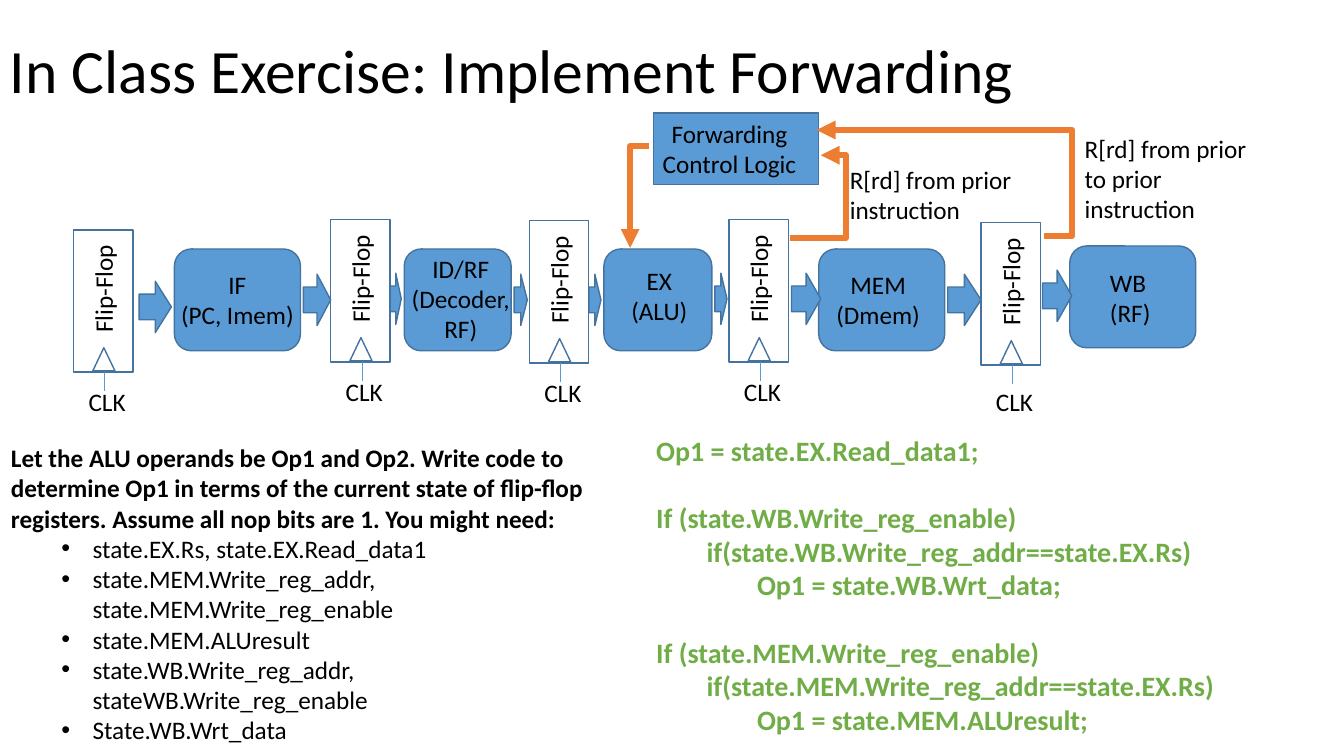
"""Builds the slide of the forwarding exercise on a five-stage pipeline."""
import pptx
import pptx.util
import pptx.dml.color
import pptx.enum.shapes
import pptx.enum.text
import pptx.oxml
import pptx.oxml.ns
from pptx.util import Inches

COLORS = {"blue": "5B9BD5", "edge": "43739E", "orange": "ED7D31", "green": "70AD47", "black": "000000"}
SHAPES = pptx.enum.shapes.MSO_SHAPE
CENTER = pptx.enum.text.PP_ALIGN.CENTER
LEFT = pptx.enum.text.PP_ALIGN.LEFT
MIDDLE = pptx.enum.text.MSO_ANCHOR.MIDDLE

TITLE = "In Class Exercise: Implement Forwarding"
STAGES = [(1.73, 2.47, 1.25), (4.01, 2.47, 1.06), (5.99, 2.47, 1.07), (8.12, 2.47, 1.25), (10.61, 2.44, 1.25)]
STAGE_HEIGHT = 1.01
STAGE_LABELS = [
    (["IF", "(PC, Imem)"], (1.69, 2.62, 1.33, 0.71), CENTER, False),
    (["ID/RF", "(Decoder, RF)"], (3.96, 2.46, 1.22, 1.01), CENTER, True),
    (["EX", "(ALU)"], (6.16, 2.58, 0.76, 0.71), CENTER, False),
    (["MEM", "(Dmem)"], (8.19, 2.62, 1.04, 0.71), CENTER, False),
    (["WB", "(RF)"], (10.91, 2.6, 0.61, 0.71), LEFT, False),
]
FLIP_FLOPS = [(0.73, 2.28, 3.78), (3.28, 2.18, 3.68), (5.25, 2.19, 3.69), (7.23, 2.18, 3.68), (9.73, 2.21, 3.78)]
ARROWS = [
    (1.38, 2.79, 0.32), (3.01, 2.72, 0.27), (3.87, 2.71, 0.11), (5.1, 2.72, 0.13), (5.84, 2.72, 0.12),
    (7.09, 2.71, 0.12), (7.85, 2.71, 0.29), (9.4, 2.72, 0.33), (10.34, 2.68, 0.29),
]
ARROW_HEIGHT = 0.51
CONTROL_BOX = (6.48, 1.12, 1.64, 0.71)
CONTROL_LABEL = (["Forwarding Control Logic"], (6.41, 1.12, 1.65, 0.71), CENTER, True)
PATHS = [
    ((7.84, 2.36), (8.14, 1.54), "bentConnector3", 183000),
    ((10.35, 2.34), (8.1, 1.29), "bentConnector3", -12700),
    ((6.44, 1.45), (6.25, 2.46), "bentConnector2", None),
]
PATH_LABELS = [
    (["R[rd] from prior instruction"], (8.33, 1.58, 1.9, 0.71), LEFT, True),
    (["R[rd] from prior to prior instruction"], (10.66, 1.27, 1.9, 1.01), LEFT, True),
]
TASK = (
    "Let the ALU operands be Op1 and Op2. Write code to determine Op1 in terms of the current state "
    "of flip-flop registers. Assume all nop bits are 1. You might need:"
)
HINTS = [
    "state.EX.Rs, state.EX.Read_data1",
    "state.MEM.Write_reg_addr, state.MEM.Write_reg_enable",
    "state.MEM.ALUresult",
    "state.WB.Write_reg_addr, stateWB.Write_reg_enable",
    "State.WB.Wrt_data",
]
CODE = [
    "Op1 = state.EX.Read_data1;",
    "If (state.WB.Write_reg_enable)",
    "\tif(state.WB.Write_reg_addr==state.EX.Rs)",
    "\t\tOp1 = state.WB.Wrt_data;",
    "If (state.MEM.Write_reg_enable)",
    "\tif(state.MEM.Write_reg_addr==state.EX.Rs)",
    "\t\tOp1 = state.MEM.ALUresult;",
]


def rgb(name):
    return pptx.dml.color.RGBColor.from_string(COLORS[name])


def add_block(page, kind, place, fill=None):
    block = page.shapes.add_shape(kind, *map(Inches, place))
    block.shadow.inherit = False
    if fill:
        block.fill.solid()
        block.fill.fore_color.rgb = rgb(fill)
    else:
        block.fill.background()
    block.line.color.rgb = rgb("edge")
    block.line.width = pptx.util.Pt(1)
    return block


def add_text(page, lines, place, align=LEFT, wrap=True, size=18, color="black", bold=False):
    box = page.shapes.add_textbox(*map(Inches, place))
    box.text_frame.word_wrap = wrap
    box.text_frame.text = "\n".join(lines)
    for para in box.text_frame.paragraphs:
        para.alignment = align
        for span in para.runs:
            span.font.name = "Calibri"
            span.font.size = pptx.util.Pt(size)
            span.font.bold = bold
            span.font.color.rgb = rgb(color)
    return box


def add_line(page, start, end, color, width, kind=pptx.enum.shapes.MSO_CONNECTOR.STRAIGHT):
    line = page.shapes.add_connector(kind, *map(Inches, start + end))
    line.line.color.rgb = rgb(color)
    line.line.width = pptx.util.Pt(width)
    pptx.oxml.ns.qn("a:effectLst")
    line.line._get_or_add_ln().addnext(pptx.oxml.parse_xml(f"<a:effectLst {pptx.oxml.ns.nsdecls('a')}/>"))
    return line


def add_path(page, start, end, geometry, bend):
    line = add_line(page, start, end, "orange", 4.5, pptx.enum.shapes.MSO_CONNECTOR.ELBOW)
    names = pptx.oxml.ns.nsdecls("a")
    outline = line.line._get_or_add_ln()
    outline.append(pptx.oxml.parse_xml(f'<a:tailEnd {names} type="triangle"/>'))
    preset = line._element.spPr.find(pptx.oxml.ns.qn("a:prstGeom"))
    preset.set("prst", geometry)
    if bend is not None:
        guides = preset.find(pptx.oxml.ns.qn("a:avLst"))
        guides.append(pptx.oxml.parse_xml(f'<a:gd {names} name="adj1" fmla="val {bend}"/>'))


def add_flip_flop(page, left, top, clock_top):
    add_block(page, SHAPES.RECTANGLE, (left, top, 0.59, 1.41))
    add_block(page, SHAPES.ISOSCELES_TRIANGLE, (left + 0.19, top + 1.17, 0.22, 0.23))
    add_text(page, ["Flip-Flop"], (left - 0.25, top + 0.38, 1.08, 0.4), wrap=False).rotation = 270
    add_line(page, (left + 0.31, top + 1.6), (left + 0.31, top + 1.41), "blue", 0.5)
    add_text(page, ["CLK"], (left + 0.05, clock_top, 0.58, 0.4), wrap=False)


def add_task(page):
    box = add_text(page, [TASK] + HINTS, (0.01, 4.34, 5.93, 3.13))
    task, *hints = box.text_frame.paragraphs
    task.runs[0].font.bold = True
    for para in hints:
        para.level = 1
        props = para._p.get_or_add_pPr()
        props.set("marL", str(Inches(0.81)))
        props.set("indent", str(Inches(-0.31)))
        names = pptx.oxml.ns.nsdecls("a")
        props.append(pptx.oxml.parse_xml(f'<a:buFont {names} typeface="Arial"/>'))
        props.append(pptx.oxml.parse_xml(f'<a:buChar {names} char="•"/>'))


def add_code(page):
    box = add_text(page, CODE, (6.41, 4.25, 6.29, 3.15), wrap=False, size=20, color="green", bold=True)
    for para in box.text_frame.paragraphs:
        if para.text.startswith("If"):
            para.space_before = pptx.util.Pt(24)


def main():
    deck = pptx.Presentation()
    deck.slide_width, deck.slide_height = Inches(13.33), Inches(7.5)
    page = deck.slides.add_slide(deck.slide_layouts[6])
    title = add_text(page, [TITLE], (0, 0, 11.5, 1.45), size=44)
    title.text_frame.vertical_anchor = MIDDLE
    title.text_frame.paragraphs[0].line_spacing = 0.9
    for left, top, width in STAGES:
        add_block(page, SHAPES.ROUNDED_RECTANGLE, (left, top, width, STAGE_HEIGHT), "blue")
    for flip_flop in FLIP_FLOPS:
        add_flip_flop(page, *flip_flop)
    for left, top, width in ARROWS:
        add_block(page, SHAPES.RIGHT_ARROW, (left, top, width, ARROW_HEIGHT), "blue")
    add_block(page, SHAPES.RECTANGLE, CONTROL_BOX, "blue")
    for path in PATHS:
        add_path(page, *path)
    for label in STAGE_LABELS + [CONTROL_LABEL] + PATH_LABELS:
        add_text(page, *label)
    add_task(page)
    add_code(page)
    deck.save("out.pptx")


if __name__ == "__main__":
    main()
